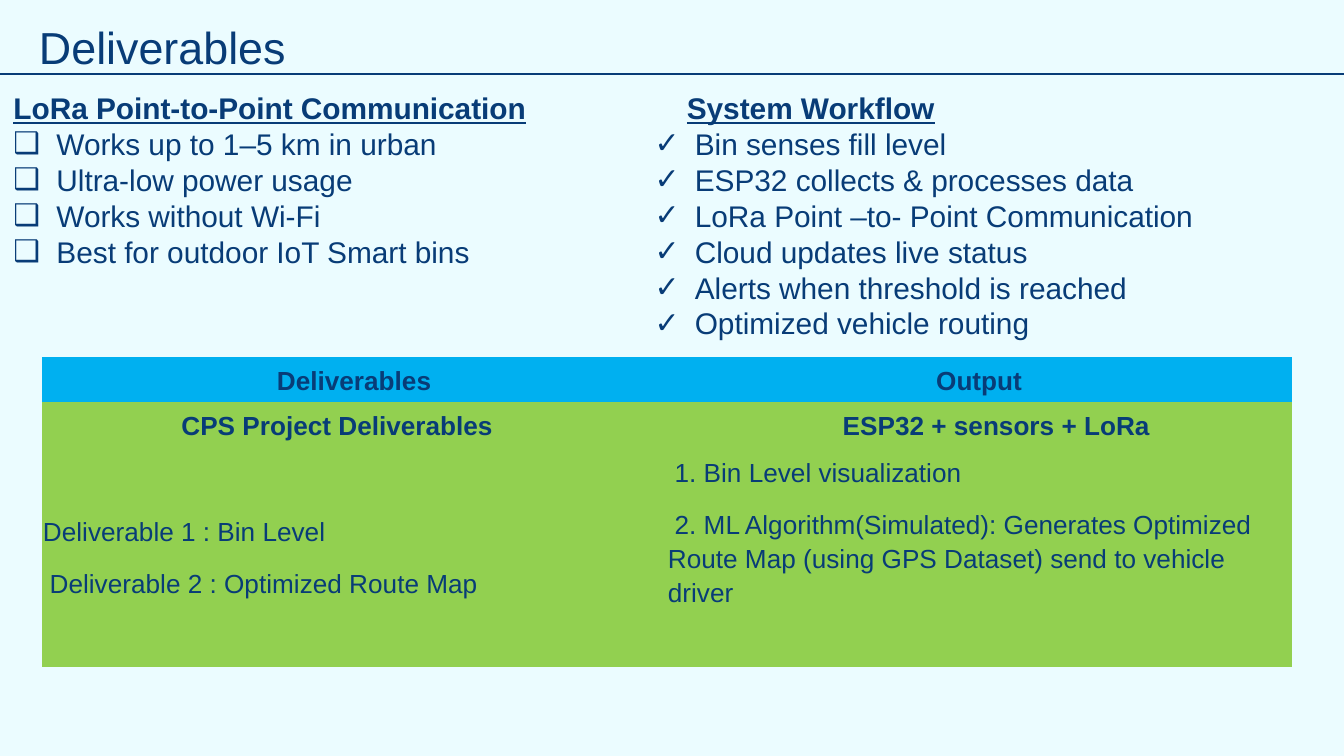
from dataclasses import dataclass

from lxml import etree
from pptx import Presentation
from pptx.dml.color import RGBColor
from pptx.enum.text import MSO_ANCHOR, MSO_AUTO_SIZE, PP_ALIGN
from pptx.enum.shapes import MSO_CONNECTOR
from pptx.oxml.ns import qn
from pptx.util import Inches, Pt

MIDDLE = MSO_ANCHOR.MIDDLE
TOP = MSO_ANCHOR.TOP
NO_FIT = MSO_AUTO_SIZE.NONE
LEFT = PP_ALIGN.LEFT
CENTER = PP_ALIGN.CENTER
STRAIGHT = MSO_CONNECTOR.STRAIGHT
NO_GRID_STYLE = "{2D5ABB26-0587-4C30-8999-92F81FD0307C}"


@dataclass(frozen=True)
class Theme:
    font: str = "Arial"
    ink: RGBColor = RGBColor(0x08, 0x3C, 0x77)
    page: RGBColor = RGBColor(0xEB, 0xFC, 0xFF)
    header: RGBColor = RGBColor(0x00, 0xB0, 0xF0)
    body: RGBColor = RGBColor(0x92, 0xD0, 0x50)
    title_size: Pt = Pt(24)
    list_size: Pt = Pt(16)
    list_leading: Pt = Pt(19.2)
    table_size: Pt = Pt(14)
    rule: Pt = Pt(0.75)


@dataclass(frozen=True)
class CellText:
    lines: tuple
    bold: bool = False
    align: PP_ALIGN = LEFT
    margin: float = 0
    bottom: float = 0.01


class SlideBuilder:
    def __init__(self, slide, theme):
        self.s = slide
        self.theme = theme
        fill = slide.background.fill
        fill.solid()
        fill.fore_color.rgb = theme.page

    def run(self, p, text, size, bold=False, underline=False):
        r = p.add_run()
        r.text = text
        f = r.font
        f.name, f.size, f.bold, f.underline = self.theme.font, size, bold, underline
        f.color.rgb = self.theme.ink

    def indent(self, p, margin, first=0.0):
        pPr = p._p.get_or_add_pPr()
        pPr.set("marL", str(Inches(margin)))
        pPr.set("indent", str(Inches(first)))
        return pPr

    def place(self, sp, x, y, w, h, anchor, pad):
        sp.left, sp.top, sp.width, sp.height = map(Inches, (x, y, w, h))
        tf = sp.text_frame
        tf.auto_size = NO_FIT
        tf.vertical_anchor = anchor
        tf.margin_left = tf.margin_right = Inches(0.1)
        tf.margin_top = tf.margin_bottom = Inches(pad)
        return tf

    def title(self, text, x, y, w, h):
        tf = self.place(self.s.shapes.title, x, y, w, h, MIDDLE, 0)
        tf.word_wrap = False
        p = tf.paragraphs[0]
        p.alignment = LEFT
        self.run(p, text, self.theme.title_size)

    def bullets(self, idx, heading, items, mark, x, y, w, h, heading_indent, text_indent):
        tf = self.place(self.s.placeholders[idx], x, y, w, h, TOP, 0.05)
        tf.word_wrap = True
        for i, text in enumerate([heading, *items]):
            p = tf.paragraphs[0] if i == 0 else tf.add_paragraph()
            p.space_before = Pt(0)
            p.line_spacing = self.theme.list_leading
            if i == 0:
                pPr = self.indent(p, heading_indent)
                etree.SubElement(pPr, qn("a:buNone"))
            else:
                pPr = self.indent(p, text_indent, -text_indent)
                etree.SubElement(pPr, qn("a:buChar")).set("char", mark)
            self.run(p, text, self.theme.list_size, bold=i == 0, underline=i == 0)

    def cell(self, cell, content, fill):
        cell.fill.solid()
        cell.fill.fore_color.rgb = fill
        cell.vertical_anchor = MIDDLE
        cell.margin_left = cell.margin_right = cell.margin_top = Inches(0.01)
        cell.margin_bottom = Inches(content.bottom)
        tf = cell.text_frame
        for i, (text, first) in enumerate(content.lines):
            p = tf.paragraphs[0] if i == 0 else tf.add_paragraph()
            self.indent(p, content.margin, first)
            p.alignment = content.align
            p.line_spacing = 1.15
            p.space_after = Pt(10)
            self.run(p, text, self.theme.table_size, content.bold)

    def table(self, rows, x, y, w, heights):
        columns = len(rows[0])
        frame = self.s.shapes.add_table(
            len(rows), columns, Inches(x), Inches(y), Inches(w), Inches(sum(heights)))
        frame.element.find(".//" + qn("a:tableStyleId")).text = NO_GRID_STYLE
        table = frame.table
        table.horz_banding = False
        for column in table.columns:
            column.width = Inches(w / columns)
        for i, (row, height) in enumerate(zip(rows, heights)):
            table.rows[i].height = Inches(height)
            fill = self.theme.header if i == 0 else self.theme.body
            for j, content in enumerate(row):
                self.cell(table.cell(i, j), content, fill)

    def line(self, x1, y1, x2, y2):
        c = self.s.shapes.add_connector(STRAIGHT, *map(Inches, (x1, y1, x2, y2)))
        c.line.color.rgb = self.theme.ink
        c.line.width = self.theme.rule
        etree.SubElement(c.element.spPr, qn("a:effectLst"))


def main():
    prs = Presentation()
    prs.slide_width = Inches(10)
    prs.slide_height = prs.slide_width * 9 // 16
    two_content = prs.slide_layouts[3]
    b = SlideBuilder(prs.slides.add_slide(two_content), Theme())

    b.bullets(1, "LoRa Point-to-Point Communication", [
        "Works up to 1–5 km in urban",
        "Ultra-low power usage",
        "Works without Wi-Fi",
        "Best for outdoor IoT Smart bins",
    ], "❑", 0, 0.62, 5, 1.45, heading_indent=0, text_indent=0.32)
    b.bullets(2, "System Workflow", [
        "Bin senses fill level",
        "ESP32 collects & processes data",
        "LoRa Point –to- Point Communication",
        "Cloud updates live status",
        "Alerts when threshold is reached",
        "Optimized vehicle routing",
    ], "✓", 4.77, 0.62, 5, 1.99, heading_indent=0.24, text_indent=0.3)

    b.table([
        [CellText((("Deliverables", 0),), bold=True, align=CENTER),
         CellText((("Output", 0),), bold=True, align=CENTER)],
        [CellText((("CPS Project Deliverables", 0),), bold=True, margin=1.03),
         CellText((("ESP32 + sensors + LoRa", 0),), bold=True, margin=1.3)],
        [CellText((("Deliverable 1 : Bin Level", 0),
                   ("Deliverable 2 : Optimized Route Map", 0.05))),
         CellText((("1. Bin Level visualization", 0.05),
                   ("2. ML Algorithm(Simulated): Generates Optimized Route Map "
                    "(using GPS Dataset) send to vehicle driver", 0.05)), bottom=0.39)],
    ], 0.31, 2.66, 9.3, [0.33, 0.33, 1.64])

    b.title("Deliverables", 0.19, 0.11, 2.05, 0.47)
    b.line(-0.17, 0.55, 10, 0.55)
    prs.save("out.pptx")


if __name__ == "__main__":
    main()
